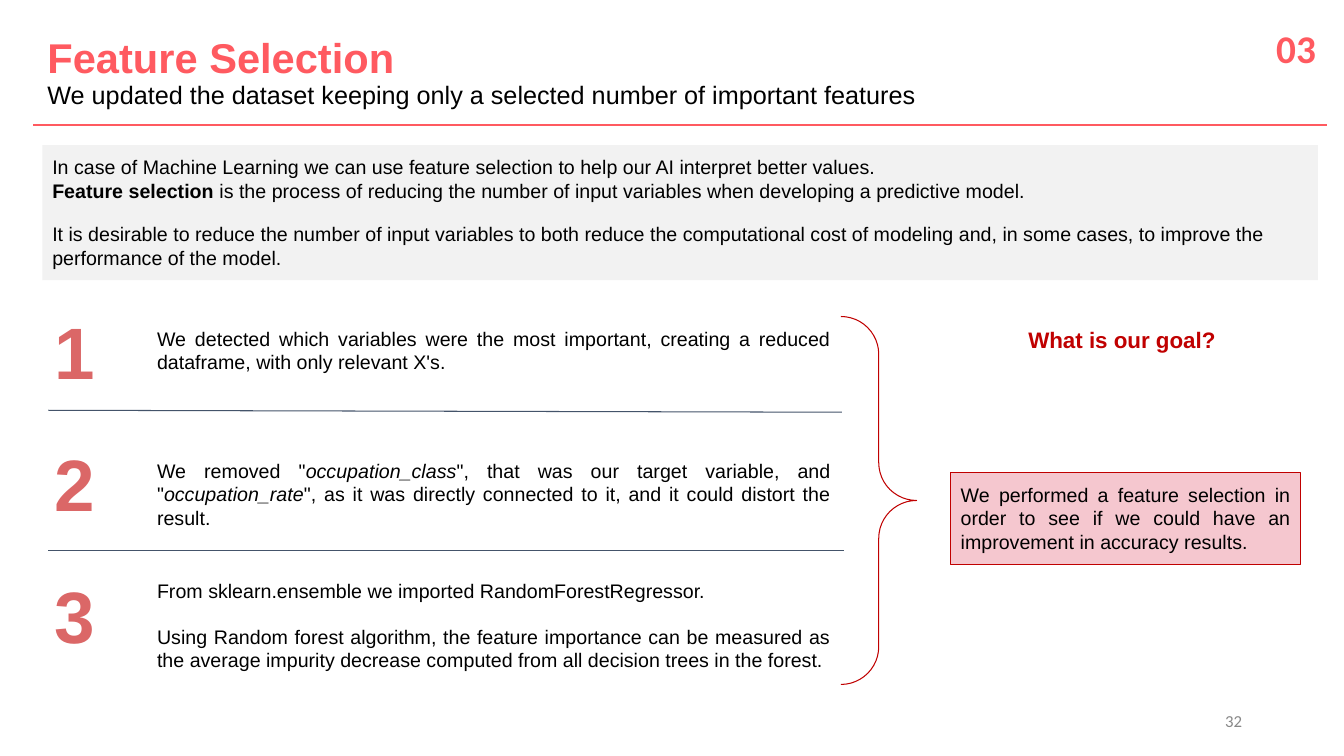
"""Build the feature selection slide: summary, three steps and their goal."""
from pptx import Presentation
from pptx.dml.color import RGBColor
from pptx.enum.shapes import MSO_CONNECTOR, MSO_SHAPE
from pptx.enum.text import MSO_ANCHOR, MSO_AUTO_SIZE, PP_ALIGN
from pptx.oxml.ns import qn
from pptx.util import Inches, Pt

LINE = MSO_CONNECTOR.STRAIGHT
RECT, BRACE = MSO_SHAPE.RECTANGLE, MSO_SHAPE.RIGHT_BRACE
TOP, MIDDLE = MSO_ANCHOR.TOP, MSO_ANCHOR.MIDDLE
NO_FIT = MSO_AUTO_SIZE.NONE
LEFT, RIGHT, JUSTIFY = PP_ALIGN.LEFT, PP_ALIGN.RIGHT, PP_ALIGN.JUSTIFY

THEME = {
    "coral": RGBColor.from_string("FF5A60"),
    "digit": RGBColor.from_string("DB6767"),
    "red": RGBColor.from_string("C00000"),
    "pink": RGBColor.from_string("F5C7CF"),
    "panel": RGBColor.from_string("F2F2F2"),
    "slate": RGBColor.from_string("44546A"),
    "grey": RGBColor.from_string("888888"),
    "black": RGBColor.from_string("000000"),
    "title": Pt(29.7), "subtitle": Pt(18), "body": Pt(14), "goal": Pt(16),
    "step": Pt(52), "section": Pt(28), "page": Pt(12),
}
BODY = {"name": "Arial", "size": THEME["body"], "color": THEME["black"]}
BOLD, ITALIC = {"bold": True}, {"italic": True}

prs = Presentation()
prs.slide_width, prs.slide_height = Inches(13.33), Inches(7.5)
s = prs.slides.add_slide(prs.slide_layouts[5])


def share(*percents):
    """Turn alternating x and y percentages of the slide into lengths."""
    sides = (prs.slide_width, prs.slide_height)
    return [int(sides[i % 2] * v / 100) for i, v in enumerate(percents)]


def write(sp, paragraphs, base=BODY, align=LEFT, anchor=TOP, pad=0.1, gap=0, wrap=True):
    """Fill a shape with paragraphs, each a list of (text, format) runs."""
    tf = sp.text_frame
    frame = {"auto_size": NO_FIT, "word_wrap": wrap, "vertical_anchor": anchor,
             "margin_left": Inches(0.1), "margin_right": Inches(0.1),
             "margin_top": Inches(pad), "margin_bottom": Inches(pad)}
    for key, value in frame.items():
        setattr(tf, key, value)
    for i, runs in enumerate(paragraphs):
        p = tf.add_paragraph() if i else tf.paragraphs[0]
        p.alignment = align
        if i and i == len(paragraphs) - 1:
            p.space_before = Pt(gap)
        for j, (text, extra) in enumerate(runs):
            if text.startswith("\n"):
                p.add_line_break()
            r = p.add_run()
            r.text = text.lstrip("\n")
            for key, value in {**base, **extra}.items():
                if key == "color":
                    r.font.color.rgb = value
                else:
                    setattr(r.font, key, value)


title = s.shapes.title
title.left, title.top, title.width, title.height = share(2.78, 5.07, 94.9, 9.33)
write(title, [[
    ("Feature Selection", {"size": THEME["title"], "color": THEME["coral"], "bold": True}),
    ("\nWe updated the dataset keeping only a selected number of important features",
     {"size": THEME["subtitle"], "bold": False}),
]], anchor=MIDDLE, pad=0.05)
title.text_frame.paragraphs[0].line_spacing = 0.9

rules = [
    ((2.48, 16.53, 98.72, 16.53), "coral", 1.5),
    ((3.6, 54.27, 62.64, 54.53), "slate", 0.75),
    ((3.6, 72.8, 62.79, 72.8), "slate", 0.75),
]
for ends, color, width in rules:
    rule = s.shapes.add_connector(LINE, *share(*ends))
    rule.line.color.rgb = THEME[color]
    rule.line.width = Pt(width)
    sp_pr = rule._element.spPr
    sp_pr.append(sp_pr.makeelement(qn("a:effectLst"), {}))

page = s.shapes.add_textbox(*share(70.67, 92.67, 22.5, 5.33))
write(page, [[("32", {})]],
      {"name": "Calibri", "size": THEME["page"], "color": THEME["grey"]},
      RIGHT, MIDDLE, 0.05)
section = s.shapes.add_textbox(*share(94.22, 2.53, 4.5, 7.6))
write(section, [[("03", BOLD)]],
      {"name": "Calibri", "size": THEME["section"], "color": THEME["coral"]},
      pad=0.05, wrap=False)

shapes = {}
for name, kind, box, fill, line in [
    ("summary", RECT, (3.15, 19.2, 94.9, 17.87), "panel", None),
    ("goal", RECT, (70.74, 62.53, 26.03, 12.13), "pink", "red"),
    ("brace", BRACE, (62.57, 41.87, 5.63, 48.67), None, "red"),
]:
    sp = shapes[name] = s.shapes.add_shape(kind, *share(*box))
    sp.shadow.inherit = False
    if fill:
        sp.fill.solid()
        sp.fill.fore_color.rgb = THEME[fill]
    else:
        sp.fill.background()
    if line:
        sp.line.color.rgb = THEME[line]
        sp.line.width = Pt(0.75)
    else:
        sp.line.fill.background()
shapes["brace"].adjustments[0] = 0.5

write(shapes["summary"], [
    [("In case of Machine Learning we can use feature selection to help our AI "
      "interpret better values.", {})],
    [("Feature selection", BOLD),
     (" is the process of reducing the number of input variables when developing "
      "a predictive model.", {})],
    [("It is desirable to reduce the number of input variables to both reduce the "
      "computational cost of modeling and, in some cases, to improve the performance "
      "of the model.", {})],
], gap=14)
write(shapes["goal"], [[
    ("We performed a feature selection in order to see if we could have an "
     "improvement in accuracy results.", {}),
]], align=JUSTIFY)

heading = s.shapes.add_textbox(*share(75.77, 41.87, 15.98, 6.27))
write(heading, [[("What is our goal?", BOLD)]],
      {**BODY, "size": THEME["goal"], "color": THEME["red"]}, JUSTIFY)

steps = [
    (41.87, 8.93, [[
        ("We detected which variables were the most important, creating a reduced "
         "dataframe, with only relevant X's.", {})]]),
    (59.33, 12.13, [[
        ('We removed "', {}), ("occupation_class", ITALIC),
        ('", that was our target variable, and "', {}), ("occupation_rate", ITALIC),
        ('", as it was directly connected to it, and it could distort the result.', {})]]),
    (75.2, 15.2, [
        [("From sklearn.ensemble we imported RandomForestRegressor.", {})],
        [("Using Random forest algorithm, the feature importance can be measured as "
          "the average impurity decrease computed from all decision trees in the "
          "forest.", {})]]),
]
for i, (top, height, paragraphs) in enumerate(steps):
    digit = s.shapes.add_textbox(*share(3.3, 39.2 + 17.47 * i, 4.5, 14.4))
    write(digit, [[(str(i + 1), BOLD)]],
          {**BODY, "size": THEME["step"], "color": THEME["digit"]})
    step = s.shapes.add_textbox(*share(10.95, top, 51.61, height))
    write(step, paragraphs, align=JUSTIFY, gap=16)

prs.save("out.pptx")
